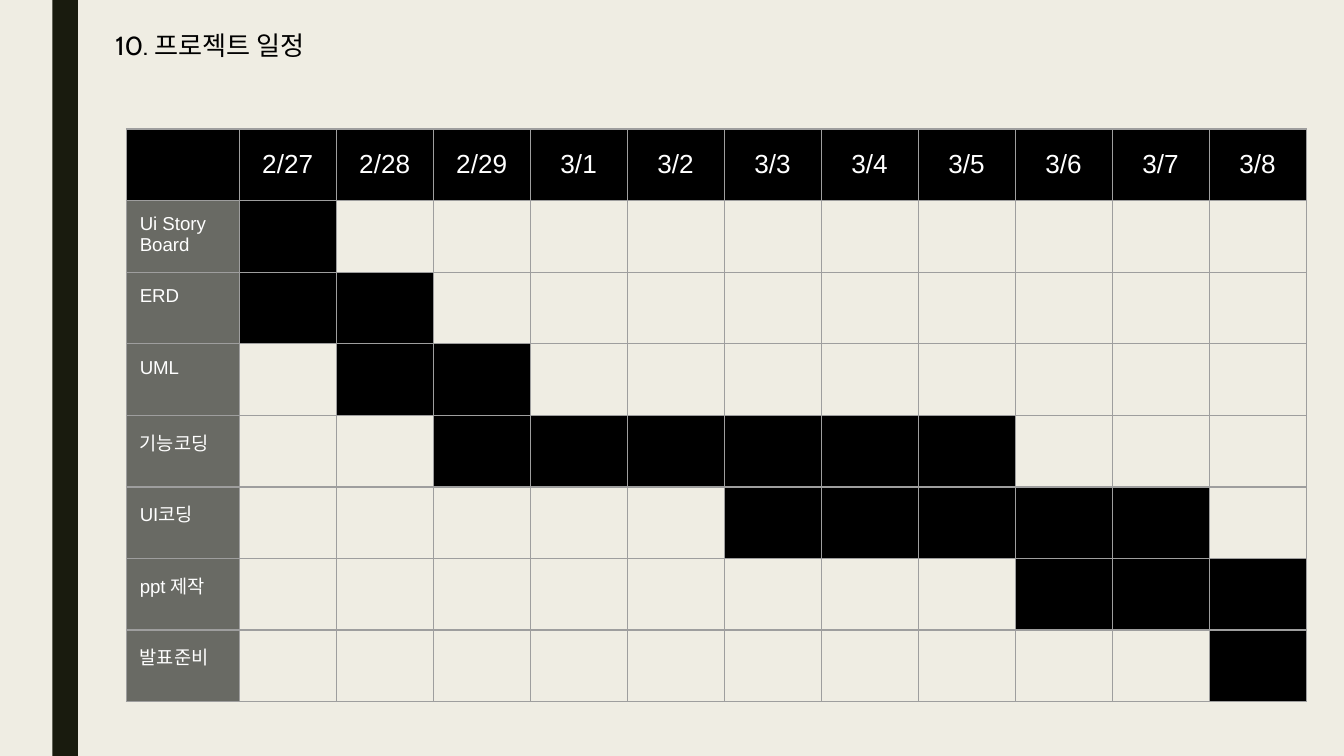
"""Build the project schedule slide with a Gantt-style table."""
from dataclasses import dataclass

from lxml import etree
from pptx import Presentation
from pptx import util as u
from pptx.dml.color import RGBColor
from pptx.enum import shapes, text
from pptx.oxml import ns

BLACK, WHITE, GRAY = "000000", "FFFFFF", "696A64"
BACKGROUND, STRIPE, GRID = "EFEDE3", "191B0E", "9E9E9E"
DATES = ["2/27", "2/28", "2/29", *(f"3/{day}" for day in range(1, 9))]
LABEL_WIDTH, DAYS_WIDTH, TABLE_HEIGHT = 0.84, 7.94, 4.26
MARGIN = 0.1


@dataclass(frozen=True)
class Task:
    name: str
    first: str
    last: str

    def covers(self, column: int) -> bool:
        return DATES.index(self.first) <= column <= DATES.index(self.last)


TASKS = [
    Task("Ui Story Board", "2/27", "2/27"),
    Task("ERD", "2/27", "2/28"),
    Task("UML", "2/28", "2/29"),
    Task("기능코딩", "2/29", "3/5"),
    Task("UI코딩", "3/3", "3/7"),
    Task("ppt 제작", "3/6", "3/8"),
    Task("발표준비", "3/8", "3/8"),
]


def paint(fill, color: str) -> None:
    fill.solid()
    fill.fore_color.rgb = RGBColor.from_string(color)


def write(paragraph, content: str, size: int, font: str, color: str) -> None:
    paragraph.text = content
    paragraph.font.size = u.Pt(size)
    paragraph.font.name = font
    paint(paragraph.font.fill, color)


def set_margins(target) -> None:
    target.margin_left = target.margin_right = u.Inches(MARGIN)
    target.margin_top = target.margin_bottom = u.Inches(MARGIN)


def add_borders(cell) -> None:
    properties = cell._tc.get_or_add_tcPr()
    for side in ("lnL", "lnR", "lnT", "lnB"):
        line = etree.SubElement(properties, ns.qn(f"a:{side}"), w=str(u.Pt(0.75)))
        solid = etree.SubElement(line, ns.qn("a:solidFill"))
        etree.SubElement(solid, ns.qn("a:srgbClr"), val=GRID)


def style_cell(cell, color: str | None, content: str = "", size: int = 10) -> None:
    add_borders(cell)
    set_margins(cell)
    if color:
        paint(cell.fill, color)
    else:
        cell.fill.background()
    write(cell.text_frame.paragraphs[0], content, size, "Arial", WHITE)


def add_stripe(slide, height: int) -> None:
    stripe = slide.shapes.add_shape(
        shapes.MSO_SHAPE.RECTANGLE, u.Inches(0.39), 0, u.Inches(0.19), height)
    stripe.shadow.inherit = False
    paint(stripe.fill, STRIPE)
    stripe.line.fill.background()


def add_title(slide) -> None:
    title = slide.shapes.add_textbox(
        u.Inches(0.76), u.Inches(0.12), u.Inches(1.96), u.Inches(0.32))
    frame = title.text_frame
    frame.word_wrap = True
    set_margins(frame)
    write(frame.paragraphs[0], "10. 프로젝트 일정", 14, "Cabin", BLACK)


def add_schedule(slide) -> None:
    rows, columns = len(TASKS) + 1, len(DATES) + 1
    table = slide.shapes.add_table(
        rows, columns, u.Inches(0.94), u.Inches(0.96),
        u.Inches(LABEL_WIDTH + DAYS_WIDTH), u.Inches(TABLE_HEIGHT)).table
    table.first_row = table.horz_banding = False
    for index, column in enumerate(table.columns):
        column.width = u.Inches(DAYS_WIDTH / len(DATES) if index else LABEL_WIDTH)
    for row in table.rows:
        row.height = u.Inches(TABLE_HEIGHT / rows)

    style_cell(table.cell(0, 0), BLACK)
    for index, date in enumerate(DATES, 1):
        cell = table.cell(0, index)
        style_cell(cell, BLACK, date, 14)
        cell.vertical_anchor = text.MSO_ANCHOR.MIDDLE
        cell.text_frame.paragraphs[0].alignment = text.PP_ALIGN.CENTER
    for row, task in enumerate(TASKS, 1):
        style_cell(table.cell(row, 0), GRAY, task.name)
        for day in range(len(DATES)):
            style_cell(table.cell(row, day + 1), BLACK if task.covers(day) else None)


def main() -> None:
    presentation = Presentation()
    presentation.slide_width = u.Inches(10)
    presentation.slide_height = presentation.slide_width * 9 // 16
    slide = presentation.slides.add_slide(presentation.slide_layouts[6])
    paint(slide.background.fill, BACKGROUND)
    add_stripe(slide, presentation.slide_height)
    add_title(slide)
    add_schedule(slide)
    presentation.save("out.pptx")


if __name__ == "__main__":
    main()
